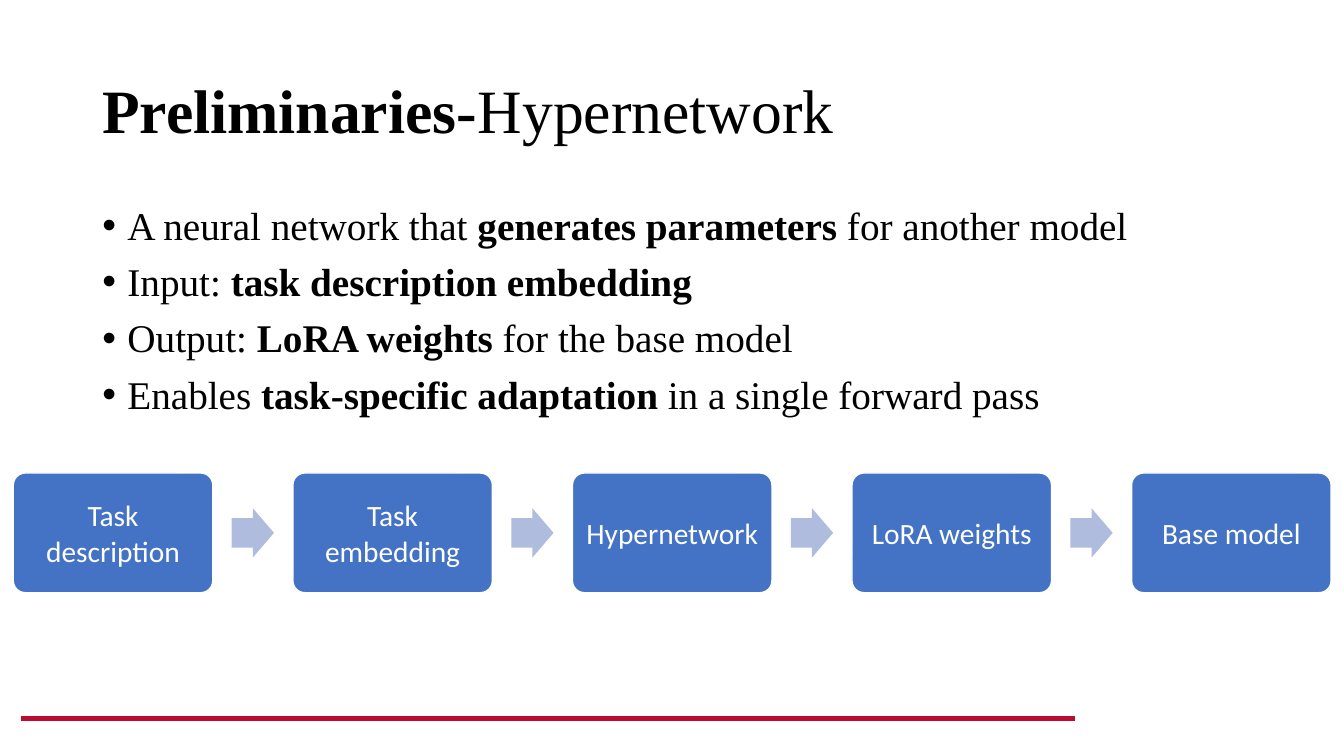
"""Build the hypernetwork slide: title, bullets and a five-step flow."""
import dataclasses

import lxml.etree
import pptx
import pptx.dml.color
import pptx.enum.shapes
import pptx.enum.text
import pptx.oxml.ns
import pptx.util

Pt = pptx.util.Pt
Kind = pptx.enum.shapes.MSO_SHAPE
Align = pptx.enum.text.PP_ALIGN
Anchor = pptx.enum.text.MSO_ANCHOR
qn = pptx.oxml.ns.qn


@dataclasses.dataclass(frozen=True)
class Theme:
    ink: str = "000000"
    white: str = "FFFFFF"
    blue: str = "4472C4"
    pale: str = "B0BCDE"
    red: str = "BA0C2F"
    serif: str = "Times New Roman"
    sans: str = "Calibri"
    head: float = 44
    body: float = 28
    step: float = 21


theme = Theme()


def color(code):
    return pptx.dml.color.RGBColor.from_string(code)


def write(frame, text, *, size, font, ink, anchor=Anchor.TOP, align=Align.LEFT,
          lead=1.0, before=0, inset=(7.2, 3.6), bullet=False):
    """Fill a frame, one paragraph a line, with ** around bold words."""
    frame.word_wrap = True
    frame.vertical_anchor = anchor
    frame.margin_left = frame.margin_right = Pt(inset[0])
    frame.margin_top = frame.margin_bottom = Pt(inset[1])
    for row, line in enumerate(text.split("\n")):
        para = frame.add_paragraph() if row else frame.paragraphs[0]
        para.alignment = align
        para.line_spacing = lead
        para.space_before = Pt(before)
        if bullet:
            props = para._p.get_or_add_pPr()
            props.set("marL", str(Pt(18)))
            props.set("indent", str(Pt(-18)))
            lxml.etree.SubElement(props, qn("a:buFont"), typeface="Arial")
            lxml.etree.SubElement(props, qn("a:buChar"), char="•")
        for index, part in enumerate(line.split("**")):
            if part:
                run = para.add_run()
                run.text = part
                run.font.name = font
                run.font.size = Pt(size)
                run.font.bold = index % 2 == 1
                run.font.color.rgb = color(ink)


deck = pptx.Presentation()
deck.slide_width, deck.slide_height = Pt(960), Pt(540)
slide = deck.slides.add_slide(deck.slide_layouts[6])
shapes = slide.shapes

rule = shapes.add_connector(
    pptx.enum.shapes.MSO_CONNECTOR.STRAIGHT, Pt(15.1), Pt(513.2), Pt(768), Pt(513.2))
rule.line.color.rgb = color(theme.red)
rule.line.width = Pt(3.25)
lxml.etree.SubElement(rule._element.spPr, qn("a:effectLst"))

title = shapes.add_textbox(Pt(66), Pt(28.75), Pt(828), Pt(104.4))
write(title.text_frame, "**Preliminaries-**Hypernetwork", size=theme.head,
      font=theme.serif, ink=theme.ink, anchor=Anchor.MIDDLE, lead=0.9)

points = """A neural network that **generates parameters** for another model
Input: **task description embedding**
Output: **LoRA weights** for the base model
Enables **task-specific adaptation** in a single forward pass"""
body = shapes.add_textbox(Pt(66), Pt(143.75), Pt(828), Pt(342.6))
write(body.text_frame, points, size=theme.body, font=theme.serif,
      ink=theme.ink, lead=0.9, before=10, bullet=True)

steps = ["Task description", "Task embedding", "Hypernetwork",
         "LoRA weights", "Base model"]
pitch = 199.7
for index, label in enumerate(steps):
    left = 9.5 + index * pitch
    box = shapes.add_shape(
        Kind.ROUNDED_RECTANGLE, Pt(left), Pt(337.9), Pt(142.5), Pt(85.5))
    box.adjustments[0] = 0.1
    box.shadow.inherit = False
    box.fill.solid()
    box.fill.fore_color.rgb = color(theme.blue)
    box.line.color.rgb = color(theme.white)
    box.line.width = Pt(1)
    write(box.text_frame, label, size=theme.step, font=theme.sans, ink=theme.white,
          anchor=Anchor.MIDDLE, align=Align.CENTER, inset=(6.5, 6.5))
    if index < len(steps) - 1:
        arrow = shapes.add_shape(
            Kind.RIGHT_ARROW, Pt(left + 156), Pt(363), Pt(30.2), Pt(35.3))
        arrow.adjustments[0] = 0.6
        arrow.adjustments[1] = 0.5
        arrow.shadow.inherit = False
        arrow.fill.solid()
        arrow.fill.fore_color.rgb = color(theme.pale)
        arrow.line.fill.background()

deck.save("out.pptx")
